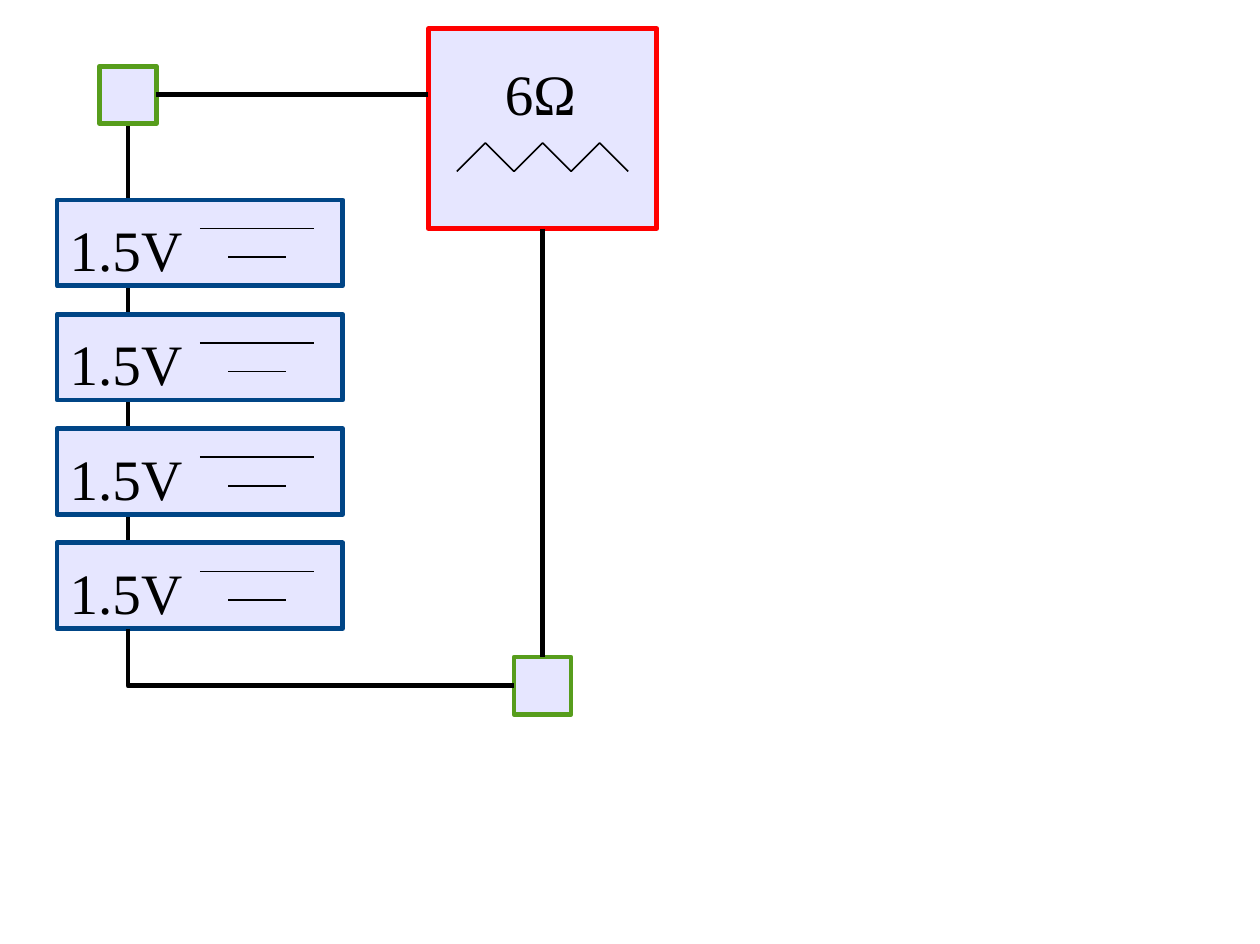
from lxml import etree
from pptx import Presentation
from pptx import util as u
from pptx.dml.color import RGBColor
from pptx.enum import shapes, text
from pptx.oxml.ns import qn

BLACK, LAVENDER = "000000", "E6E6FF"
GREEN, BLUE, RED = "579D1C", "004586", "FF0000"
BATTERY_TOPS = [126 + 72 * row for row in range(4)]
WIRE_X = 80.64

presentation = Presentation()
presentation.slide_width = u.Pt(794.16)
presentation.slide_height = u.Pt(594.72)
slide = presentation.slides.add_slide(presentation.slide_layouts[6])


def color(hex_string):
    return RGBColor.from_string(hex_string)


def add_line(x1, y1, x2, y2, width):
    connector = slide.shapes.add_connector(
        shapes.MSO_CONNECTOR.STRAIGHT, u.Pt(x1), u.Pt(y1), u.Pt(x2), u.Pt(y2))
    connector.line.color.rgb = color(BLACK)
    connector.line.width = u.Pt(width)
    etree.SubElement(connector._element.spPr, qn("a:effectLst"))
    return connector


# Component boxes; the wire through the batteries lies beneath them
battery_wire = add_line(WIRE_X, 77.76, WIRE_X, BATTERY_TOPS[-1], 3)
components = [
    (62.64, 41.76, 36, 36, GREEN),
    (324, 414, 36, 36, GREEN),
    (270, 18, 144, 126, RED),
] + [(36, top, 180, 54, BLUE) for top in BATTERY_TOPS]
boxes = []
for left, top, width, height, outline in components:
    box = slide.shapes.add_shape(
        shapes.MSO_SHAPE.RECTANGLE, u.Pt(left), u.Pt(top), u.Pt(width), u.Pt(height))
    box.shadow.inherit = False
    box.fill.solid()
    box.fill.fore_color.rgb = color(LAVENDER)
    box.line.color.rgb = color(outline)
    box.line.width = u.Pt(3)
    boxes.append(box)
top_junction, bottom_junction, resistor = boxes[:3]

# Remaining straight wires
battery_wire.begin_connect(top_junction, 2)
add_line(98.64, 59.76, 270, 59.76, 3).begin_connect(top_junction, 3)
resistor_wire = add_line(342, 144, 342, 414, 3)
resistor_wire.begin_connect(resistor, 2)
resistor_wire.end_connect(bottom_junction, 0)

# Battery symbols
for top in BATTERY_TOPS:
    add_line(126, top + 18, 198, top + 18, 1)
    add_line(144, top + 36, 180, top + 36, 1)

# Return wire with its corner, and the resistor zigzag
return_wire = [(WIRE_X, 396), (WIRE_X, 432), (324, 432)]
zigzag = [(288 + 18 * step, 90 if step % 2 else 108) for step in range(7)]
for points, width in [(return_wire, 3), (zigzag, 1)]:
    start, *rest = [(u.Pt(x), u.Pt(y)) for x, y in points]
    builder = slide.shapes.build_freeform(*start)
    builder.add_line_segments(rest, close=False)
    polyline = builder.convert_to_shape()
    polyline.shadow.inherit = False
    polyline.fill.background()
    polyline.line.color.rgb = color(BLACK)
    polyline.line.width = u.Pt(width)

# Labels
labels = [("6Ω", 318.24, 40.32, 45.36)]
labels += [("1.5V", 43.92, top + 12.24, 72) for top in BATTERY_TOPS]
for label, left, top, width in labels:
    text_box = slide.shapes.add_textbox(u.Pt(left), u.Pt(top), u.Pt(width), u.Pt(43.6))
    frame = text_box.text_frame
    frame.margin_left = frame.margin_right = frame.margin_top = 0
    frame.margin_bottom = u.Pt(3.6)
    frame.word_wrap = False
    frame.auto_size = text.MSO_AUTO_SIZE.SHAPE_TO_FIT_TEXT
    paragraph = frame.paragraphs[0]
    paragraph.line_spacing = u.Pt(40)
    run = paragraph.add_run()
    run.text = label
    run.font.name = "Times New Roman"
    run.font.size = u.Pt(36)
    run.font.color.rgb = color(BLACK)

presentation.save("out.pptx")
